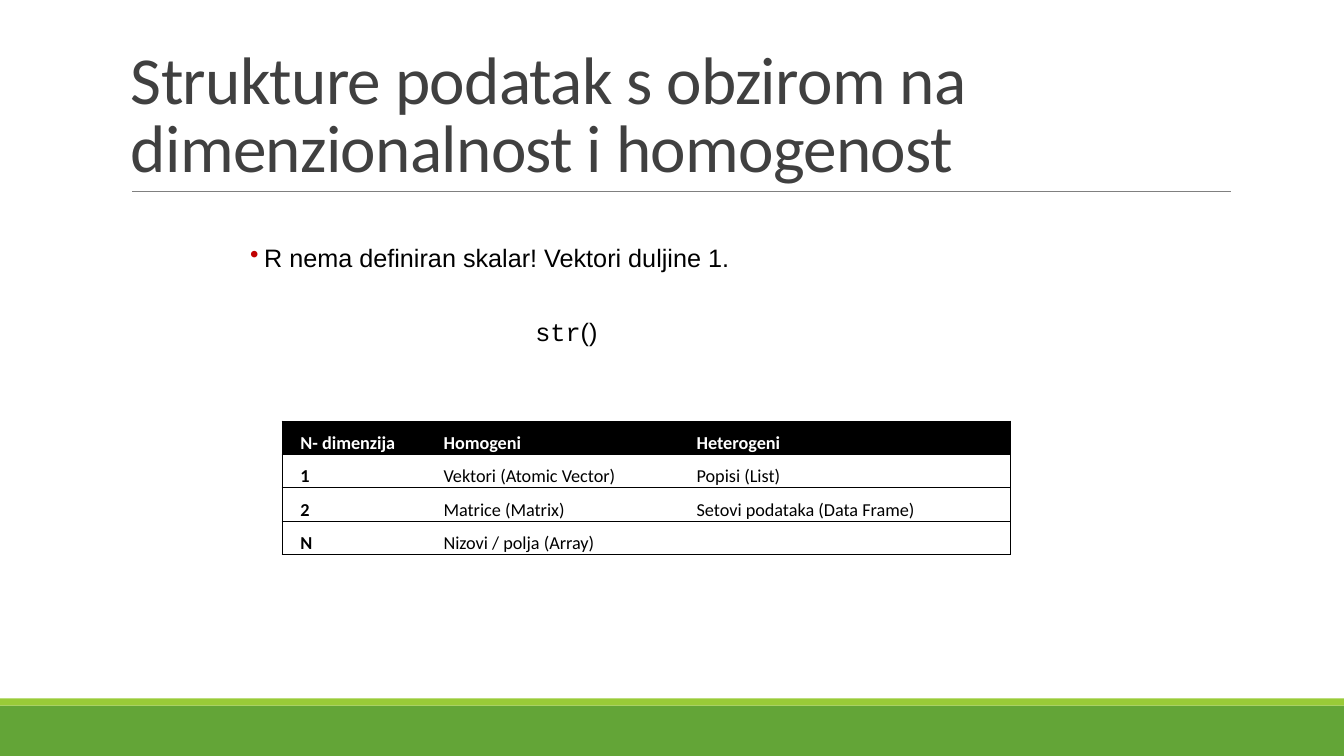
from dataclasses import dataclass

from lxml.etree import SubElement
from pptx import Presentation
from pptx.dml.color import RGBColor
from pptx.enum.shapes import MSO_CONNECTOR as Connector, MSO_SHAPE as Shape
from pptx.enum.text import MSO_ANCHOR as Anchor
from pptx.oxml import parse_xml
from pptx.oxml.ns import nsdecls, qn
from pptx.util import Inches, Pt


@dataclass(frozen=True)
class Theme:
    heading: str = "404040"
    ink: str = "000000"
    paper: str = "FFFFFF"
    rule: str = "808080"
    bullet: str = "C00000"
    green: str = "63A537"
    lime: str = "99CB38"
    title_size: int = 48
    body_size: int = 18
    table_size: int = 13
    main_font: str = "Calibri"
    body_font: str = "Arial"
    code_font: str = "Courier New"


THEME = Theme()
TABLE_ROWS = [
    ("N- dimenzija", "Homogeni", "Heterogeni"),
    ("1", "Vektori (Atomic Vector)", "Popisi (List)"),
    ("2", "Matrice (Matrix)", "Setovi podataka (Data Frame)"),
    ("N", "Nizovi / polja (Array)", ""),
]
COLUMN_WIDTHS = (1.42, 2.51, 3.29)
ROW_HEIGHT = 0.33


def style_font(font, name, size, color, bold=False):
    font.name, font.size, font.bold = name, Pt(size), bold
    font.color.rgb = RGBColor.from_string(color)


def add_band(page, top, height, color):
    band = page.shapes.add_shape(
        Shape.RECTANGLE, 0, Inches(top), Inches(13.33), Inches(height))
    band.shadow.inherit = False
    band.fill.solid()
    band.fill.fore_color.rgb = RGBColor.from_string(color)
    band.line.fill.background()


def add_rule(page, left, right, top):
    rule = page.shapes.add_connector(
        Connector.STRAIGHT, Inches(left), Inches(top), Inches(right), Inches(top))
    rule.line.color.rgb = RGBColor.from_string(THEME.rule)
    rule.line.width = Pt(0.5)
    SubElement(rule._element.spPr, qn("a:effectLst"))


def add_text_frame(page, left, top, width, height, margins, anchor=Anchor.TOP):
    frame = page.shapes.add_textbox(
        Inches(left), Inches(top), Inches(width), Inches(height)).text_frame
    frame.word_wrap = True
    frame.vertical_anchor = anchor
    frame.margin_left = frame.margin_right = Inches(margins[0])
    frame.margin_top = frame.margin_bottom = Inches(margins[1])
    return frame


def set_indent(para, left, first=0):
    properties = para._p.get_or_add_pPr()
    properties.set("marL", str(Inches(left)))
    properties.set("indent", str(Inches(first)))
    return properties


def add_title(page, text):
    frame = add_text_frame(page, 1.2, 0.31, 11, 1.59, (0.1, 0.05), Anchor.BOTTOM)
    para = frame.paragraphs[0]
    para.line_spacing = 0.85
    span = para.add_run()
    span.text = text
    span._r.get_or_add_rPr().set("spc", "-50")
    style_font(para.font, THEME.main_font, THEME.title_size, THEME.heading)


def add_body(page, bullet_text, function_name):
    frame = add_text_frame(page, 2.35, 2.37, 8.62, 1.3, (0.13, 0.07))
    bullet = frame.paragraphs[0]
    bullet.text = bullet_text
    bullet.line_spacing = 0.9
    properties = set_indent(bullet, 0.14, -0.14)
    color = SubElement(properties, qn("a:buClr"))
    SubElement(color, qn("a:srgbClr"), val=THEME.bullet)
    SubElement(properties, qn("a:buChar"), char="•")
    style_font(bullet.font, THEME.body_font, THEME.body_size, THEME.ink)

    code = frame.add_paragraph()
    code.line_spacing = 0.9
    code.space_before = Pt(33)
    set_indent(code, 2.83)
    for text, font in ((function_name, THEME.code_font), ("()", THEME.body_font)):
        span = code.add_run()
        span.text = text
        style_font(span.font, font, THEME.body_size, THEME.ink)


def set_borders(cell, visible_sides):
    """Draw the named sides (L, R, T, B) in ink and clear the others."""
    properties = cell._tc.get_or_add_tcPr()
    for index, side in enumerate("LRTB"):
        paint = "<a:noFill/>"
        if side in visible_sides:
            paint = f'<a:solidFill><a:srgbClr val="{THEME.ink}"/></a:solidFill>'
        properties.insert(index, parse_xml(
            f'<a:ln{side} {nsdecls("a")} w="{Pt(1)}">{paint}</a:ln{side}>'))


def fill_cell(cell, text, header, bold):
    cell.margin_left = cell.margin_right = Inches(0.1)
    cell.margin_top = cell.margin_bottom = 0
    cell.fill.solid()
    cell.fill.fore_color.rgb = RGBColor.from_string(THEME.ink if header else THEME.paper)
    if not text:
        return
    para = cell.text_frame.paragraphs[0]
    para.text = text
    para.line_spacing = 1.5
    para.space_before = para.space_after = Pt(3)
    set_indent(para, 0.08)
    style_font(para.font, THEME.main_font, THEME.table_size,
               THEME.paper if header else THEME.ink, bold)


def add_structure_table(page, left, top):
    table = page.shapes.add_table(
        len(TABLE_ROWS), len(COLUMN_WIDTHS), Inches(left), Inches(top),
        Inches(sum(COLUMN_WIDTHS)), Inches(ROW_HEIGHT * len(TABLE_ROWS))).table
    table.first_row = table.horz_banding = False
    for column, width in zip(table.columns, COLUMN_WIDTHS):
        column.width = Inches(width)
    last = len(COLUMN_WIDTHS) - 1
    for i, texts in enumerate(TABLE_ROWS):
        table.rows[i].height = Inches(ROW_HEIGHT)
        for j, text in enumerate(texts):
            cell = table.cell(i, j)
            fill_cell(cell, text, header=i == 0, bold=i == 0 or j == 0)
            set_borders(cell, "TB" + "L" * (j == 0) + "R" * (j == last))


def main():
    deck = Presentation()
    deck.slide_width, deck.slide_height = Inches(13.33), Inches(7.5)
    page = deck.slides.add_slide(deck.slide_layouts[6])
    add_band(page, 7, 0.5, THEME.green)
    add_band(page, 6.93, 0.07, THEME.lime)
    add_rule(page, 1.31, 12.21, 1.9)
    add_title(page, "Strukture podatak s obzirom na dimenzionalnost i homogenost")
    add_structure_table(page, 2.8, 4.18)
    add_body(page, "R nema definiran skalar! Vektori duljine 1.", "str")
    deck.save("out.pptx")


if __name__ == "__main__":
    main()
